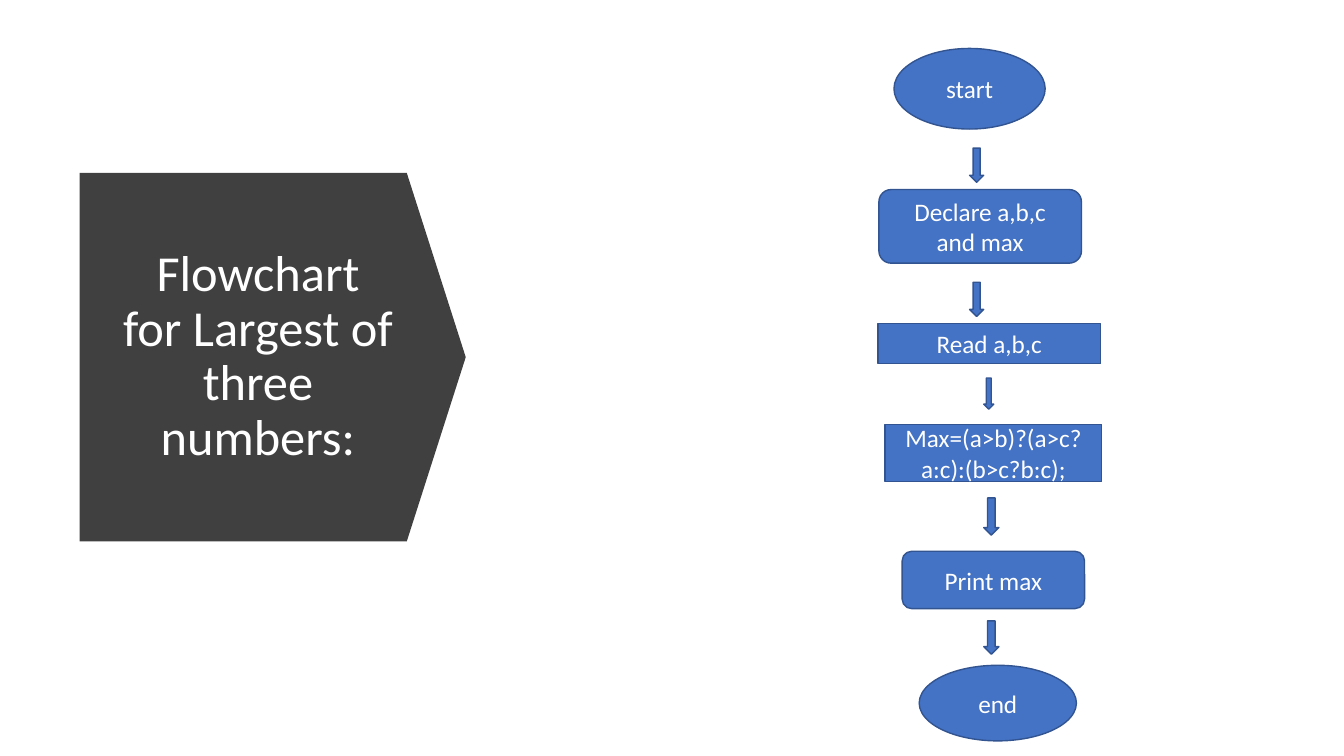
from pptx import Presentation
from pptx.dml.color import RGBColor
from pptx.enum.shapes import MSO_SHAPE as Preset
from pptx.enum.text import MSO_ANCHOR as Anchor, MSO_AUTO_SIZE as AutoSize, PP_ALIGN as Align
from pptx.util import Pt

HEADING = "Flowchart for Largest of three numbers:"
HEADING_BOX = (80.6, 154.8, 207.4, 200.9)
BANNER_BOX = (63.2, 117.2, 263.2, 275.8)  # before the quarter turn

# text, outline, (left, top, width, height)
STEPS = [
    ("start", Preset.OVAL, (638.6, 34.6, 108, 57.6)),
    ("Declare a,b,c and max", Preset.ROUNDED_RECTANGLE, (627.8, 135.4, 144.7, 52.6)),
    ("Read a,b,c", Preset.RECTANGLE, (627.1, 231.1, 159.1, 28.8)),
    ("Max=(a>b)?(a>c?a:c):(b>c?b:c);", Preset.RECTANGLE, (632.2, 303.1, 154.8, 41)),
    ("Print max", Preset.ROUNDED_RECTANGLE, (644.4, 393.8, 130.3, 41)),
    ("end", Preset.OVAL, (656.6, 475.2, 112.3, 54)),
]
ARROWS = [
    (692.6, 105.8, 10.1, 24.5),
    (692.6, 201.6, 10.1, 24.5),
    (702.7, 270, 7.2, 22.3),
    (702.7, 355.7, 10.8, 26.6),
    (702.7, 443.5, 10.8, 23.8),
]
BLUE, EDGE, DARK, WHITE = "4472C4", "325491", "404040", "FFFFFF"


def color(value):
    return RGBColor.from_string(value)


def write(shape, text, size=18, spacing=1.0, after=0):
    frame = shape.text_frame
    frame.word_wrap = True
    frame.auto_size = AutoSize.NONE
    frame.vertical_anchor = Anchor.MIDDLE
    paragraph = frame.paragraphs[0]
    paragraph.alignment = Align.CENTER
    paragraph.line_spacing = spacing
    paragraph.space_after = Pt(after)
    run = paragraph.add_run()
    run.text = text
    run.font.name = "Calibri"
    run.font.size = Pt(size)
    run.font.color.rgb = color(WHITE)


def draw(slide, outline, box, fill=BLUE, edge=EDGE):
    shape = slide.shapes.add_shape(outline, *map(Pt, box))
    shape.shadow.inherit = False
    shape.fill.solid()
    shape.fill.fore_color.rgb = color(fill)
    if edge:
        shape.line.color.rgb = color(edge)
        shape.line.width = Pt(1)
    else:
        shape.line.fill.background()
    return shape


def main():
    deck = Presentation()
    deck.slide_width, deck.slide_height = Pt(960), Pt(540)
    slide = deck.slides.add_slide(deck.slide_layouts[5])

    banner = draw(slide, Preset.DOWN_ARROW, BANNER_BOX, fill=DARK, edge=None)
    banner.rotation = 270
    banner.adjustments[0] = 1
    banner.adjustments[1] = 0.16

    heading = slide.shapes.title
    heading.left, heading.top, heading.width, heading.height = map(Pt, HEADING_BOX)
    write(heading, HEADING, size=36, spacing=0.9, after=6)
    heading.element.addprevious(banner.element)  # banner goes behind the heading

    for text, outline, box in STEPS:
        write(draw(slide, outline, box), text)
    for box in ARROWS:
        draw(slide, Preset.DOWN_ARROW, box)

    deck.save("out.pptx")


if __name__ == "__main__":
    main()
